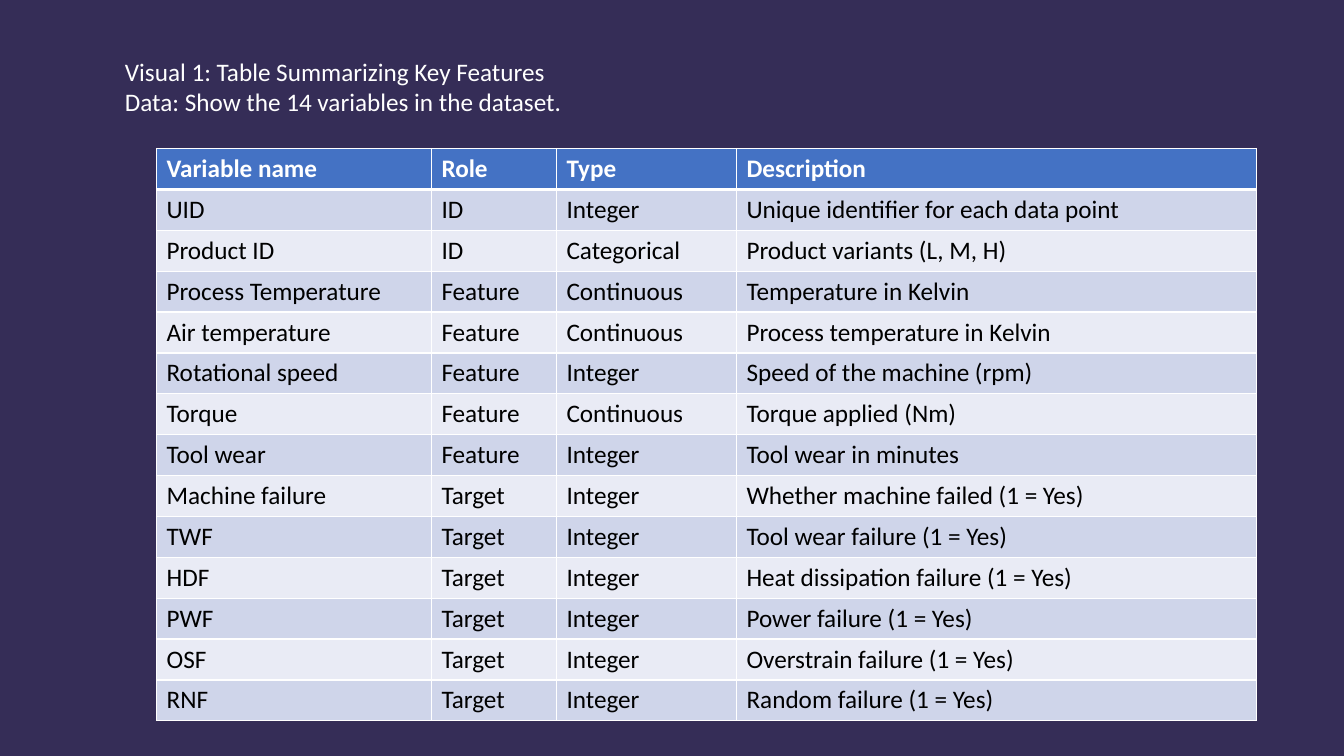
from typing import NamedTuple

from lxml import etree
from pptx import Presentation
from pptx.dml.color import RGBColor
from pptx.enum.text import MSO_ANCHOR, MSO_AUTO_SIZE, PP_ALIGN
from pptx.oxml.ns import qn
from pptx.util import Pt

TOP = MSO_ANCHOR.TOP
LEFT = PP_ALIGN.LEFT
FIT_SHAPE = MSO_AUTO_SIZE.SHAPE_TO_FIT_TEXT

FONT = "Calibri"
FONT_SIZE = 18
WHITE, BLACK = "FFFFFF", "000000"
BACKGROUND = "352D57"
HEADER_FILL = "4472C4"
BAND_FILLS = ("CFD5EA", "E9EBF5")

THIN, THICK = 1, 3
ROW_HEIGHT = 29.21
COLUMN_WIDTHS = (196.4, 89.3, 128.6, 371.4)
TABLE_LEFT, TABLE_TOP = 111.8, 106.1

TITLE_LINES = (
    "Visual 1: Table Summarizing Key Features",
    "Data: Show the 14 variables in the dataset.",
)


class Variable(NamedTuple):
    name: str
    role: str
    type: str
    description: str


HEADER = Variable("Variable name", "Role", "Type", "Description")
VARIABLES = (
    Variable("UID", "ID", "Integer", "Unique identifier for each data point"),
    Variable("Product ID", "ID", "Categorical", "Product variants (L, M, H)"),
    Variable("Process Temperature", "Feature", "Continuous", "Temperature in Kelvin"),
    Variable("Air temperature", "Feature", "Continuous", "Process temperature in Kelvin"),
    Variable("Rotational speed", "Feature", "Integer", "Speed of the machine (rpm)"),
    Variable("Torque", "Feature", "Continuous", "Torque applied (Nm)"),
    Variable("Tool wear", "Feature", "Integer", "Tool wear in minutes"),
    Variable("Machine failure", "Target", "Integer", "Whether machine failed (1 = Yes)"),
    Variable("TWF", "Target", "Integer", "Tool wear failure (1 = Yes)"),
    Variable("HDF", "Target", "Integer", "Heat dissipation failure (1 = Yes)"),
    Variable("PWF", "Target", "Integer", "Power failure (1 = Yes)"),
    Variable("OSF", "Target", "Integer", "Overstrain failure (1 = Yes)"),
    Variable("RNF", "Target", "Integer", "Random failure (1 = Yes)"),
)


def set_fill(fill, color: str) -> None:
    fill.solid()
    fill.fore_color.rgb = RGBColor.from_string(color)


def format_text(frame, color: str, bold: bool = False) -> None:
    for para in frame.paragraphs:
        para.alignment = LEFT
        for span in para.runs:
            span.font.name = FONT
            span.font.size = Pt(FONT_SIZE)
            span.font.bold = bold
            set_fill(span.font.fill, color)


def set_borders(cell, top: float, bottom: float) -> None:
    """Give the cell white borders, placed ahead of its fill as the schema asks."""
    properties = cell._tc.get_or_add_tcPr()
    widths = {"a:lnL": THIN, "a:lnR": THIN, "a:lnT": top, "a:lnB": bottom}
    for position, (tag, width) in enumerate(widths.items()):
        line = etree.Element(qn(tag), w=str(Pt(width)))
        fill = etree.SubElement(line, qn("a:solidFill"))
        etree.SubElement(fill, qn("a:srgbClr"), val=WHITE)
        properties.insert(position, line)


def add_title(page) -> None:
    title = page.shapes.title
    title.left, title.top = Pt(82), Pt(36.7)
    title.width, title.height = Pt(822.2), Pt(51)
    frame = title.text_frame
    frame.text = "\n".join(TITLE_LINES)
    frame.word_wrap = True
    frame.auto_size = FIT_SHAPE
    frame.vertical_anchor = TOP
    format_text(frame, WHITE)


def add_variable_table(page) -> None:
    rows = (HEADER, *VARIABLES)
    table = page.shapes.add_table(
        len(rows), len(COLUMN_WIDTHS), Pt(TABLE_LEFT), Pt(TABLE_TOP),
        Pt(sum(COLUMN_WIDTHS)), Pt(ROW_HEIGHT * len(rows)),
    ).table
    for column, width in zip(table.columns, COLUMN_WIDTHS):
        column.width = Pt(width)
    for row_index, variable in enumerate(rows):
        table.rows[row_index].height = Pt(ROW_HEIGHT)
        is_header = row_index == 0
        fill = HEADER_FILL if is_header else BAND_FILLS[(row_index - 1) % 2]
        for column_index, text in enumerate(variable):
            cell = table.cell(row_index, column_index)
            cell.text_frame.text = text
            format_text(cell.text_frame, WHITE if is_header else BLACK, is_header)
            set_fill(cell.fill, fill)
            set_borders(
                cell,
                top=THICK if row_index == 1 else THIN,
                bottom=THICK if is_header else THIN,
            )


def main() -> None:
    deck = Presentation()
    deck.slide_width, deck.slide_height = Pt(960), Pt(540)
    page = deck.slides.add_slide(deck.slide_layouts.get_by_name("Title Only"))
    set_fill(page.background.fill, BACKGROUND)
    add_variable_table(page)
    add_title(page)
    deck.save("out.pptx")


if __name__ == "__main__":
    main()
